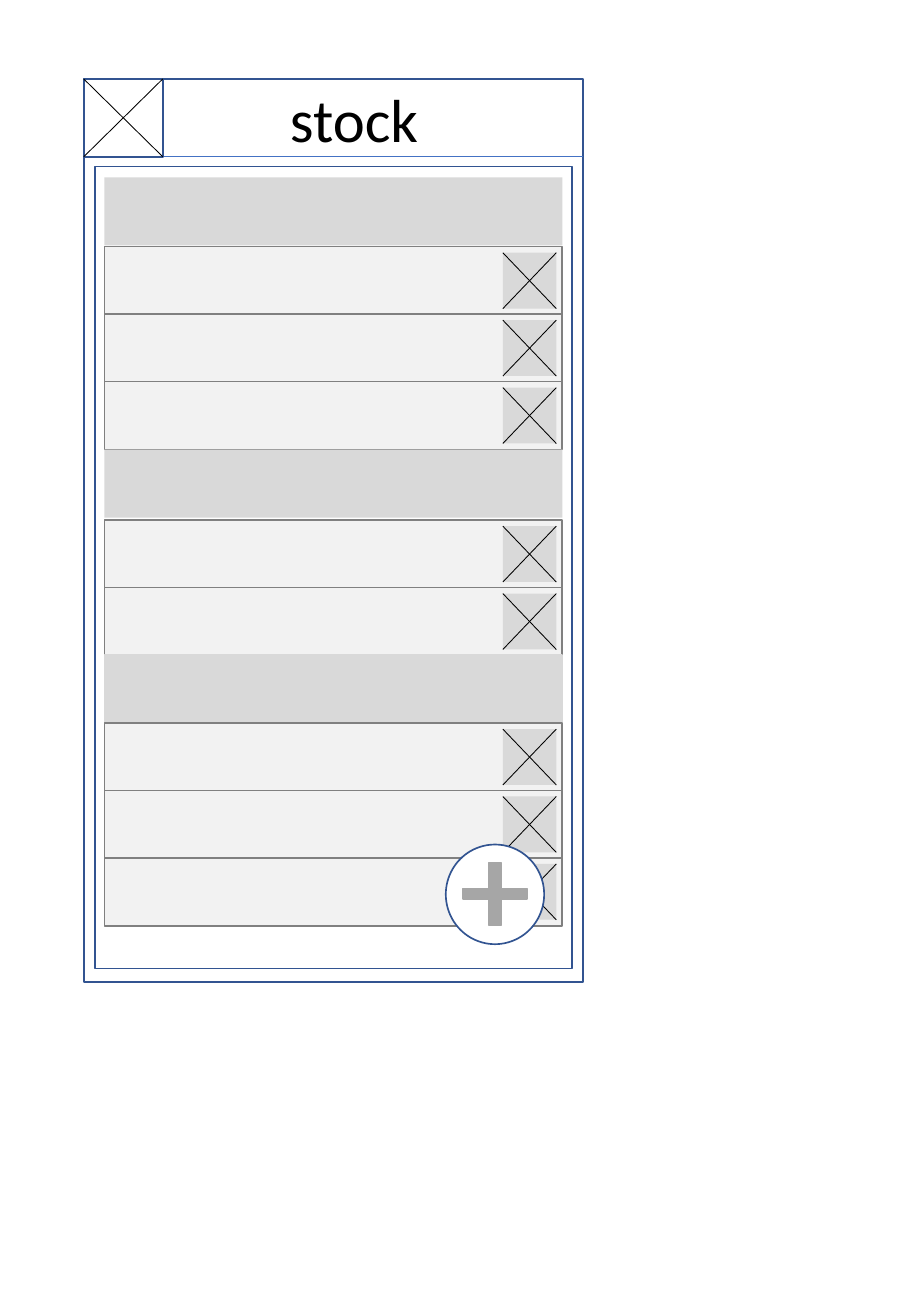
from lxml.etree import SubElement
from pptx import Presentation
from pptx.dml.color import RGBColor
from pptx.enum.shapes import MSO_CONNECTOR as CONNECTOR, MSO_SHAPE as SHAPE
from pptx.enum.text import MSO_ANCHOR as ANCHOR, MSO_AUTO_SIZE as AUTO_SIZE, PP_ALIGN as ALIGN
from pptx.oxml.ns import qn
from pptx.util import Inches, Pt

BLACK = RGBColor(0, 0, 0)
WHITE = RGBColor(255, 255, 255)
NAVY = RGBColor(0x32, 0x54, 0x91)
BLUE = RGBColor(0x44, 0x72, 0xC4)
HEADING_GREY = RGBColor(0xD9, 0xD9, 0xD9)
ITEM_GREY = RGBColor(0xF2, 0xF2, 0xF2)
BORDER_GREY = RGBColor(0x80, 0x80, 0x80)
PLUS_GREY = RGBColor(0xA6, 0xA6, 0xA6)


def add_box(parent, box, fill=None, line=None, kind=SHAPE.RECTANGLE):
    shape = parent.add_shape(kind, *map(Inches, box))
    shape.shadow.inherit = False
    if fill is None:
        shape.fill.background()
    else:
        shape.fill.solid()
        shape.fill.fore_color.rgb = fill
    if line is None:
        shape.line.fill.background()
    else:
        shape.line.color.rgb = line
        shape.line.width = Pt(1)
    return shape


def add_rule(parent, start, end, color=BLACK):
    rule = parent.add_connector(CONNECTOR.STRAIGHT, *map(Inches, start + end))
    rule.line.color.rgb = color
    rule.line.width = Pt(0.5)
    SubElement(rule._element.spPr, qn("a:effectLst"))


deck = Presentation()
deck.slide_width, deck.slide_height = Inches(7.5), Inches(10.83)
slide = deck.slides.add_slide(deck.slide_layouts[5])
shapes = slide.shapes

left, top, width, height = 0.69, 0.65, 4.11, 7.43
bar_height, menu_width = 0.64, 0.65
bar_bottom, menu_right = top + bar_height, left + menu_width

add_box(shapes, (left, top, width, height), line=NAVY)
add_rule(shapes, (left, bar_bottom), (left + width, bar_bottom), BLUE)
add_box(shapes, (left, top, menu_width, bar_height), line=NAVY)
add_box(shapes, (0.78, 1.37, 3.93, 6.6), line=NAVY)

row_left, row_width, row_height, row_pitch = 0.86, 3.77, 0.56, 0.555
icon_left, icon_width, icon_height, icon_inset = 4.14, 0.44, 0.46, 0.05
icon_right = icon_left + icon_width
sections = [(1.46, 2.03, 3, None), (3.7, 4.28, 2, None), (5.39, 5.95, 3, HEADING_GREY)]

for heading_top, first_item_top, item_count, heading_line in sections:
    add_box(shapes, (row_left, heading_top, row_width, row_height), HEADING_GREY, heading_line)
    for item in range(item_count):
        item_top = first_item_top + item * row_pitch
        add_box(shapes, (row_left, item_top, row_width, row_height), ITEM_GREY, BORDER_GREY)
        icon = shapes.add_group_shape().shapes
        icon_top = item_top + icon_inset
        icon_bottom = icon_top + icon_height
        add_box(icon, (icon_left, icon_top, icon_width, icon_height), HEADING_GREY)
        add_rule(icon, (icon_left, icon_top), (icon_right, icon_bottom))
        add_rule(icon, (icon_left, icon_bottom), (icon_right, icon_top))

add_button = shapes.add_group_shape().shapes
add_box(add_button, (3.67, 6.95, 0.81, 0.82), WHITE, NAVY, SHAPE.OVAL)
plus = add_box(add_button, (3.81, 7.1, 0.53, 0.51), PLUS_GREY, PLUS_GREY, SHAPE.CROSS)
plus.adjustments[0] = 0.415

add_rule(shapes, (left, bar_bottom), (menu_right, top))
add_rule(shapes, (left, top), (menu_right, bar_bottom))

title = shapes.title
title.left, title.top, title.width, title.height = map(Inches, (2.28, 0.62, 1.27, 0.71))
title.text_frame.text = "stock"
title.text_frame.word_wrap = False
title.text_frame.auto_size = AUTO_SIZE.NONE
title.text_frame.vertical_anchor = ANCHOR.MIDDLE
heading = title.text_frame.paragraphs[0]
heading.alignment = ALIGN.CENTER
heading.font.name = "Calibri"
heading.font.size = Pt(36)
heading.font.color.rgb = BLACK

deck.save("out.pptx")
